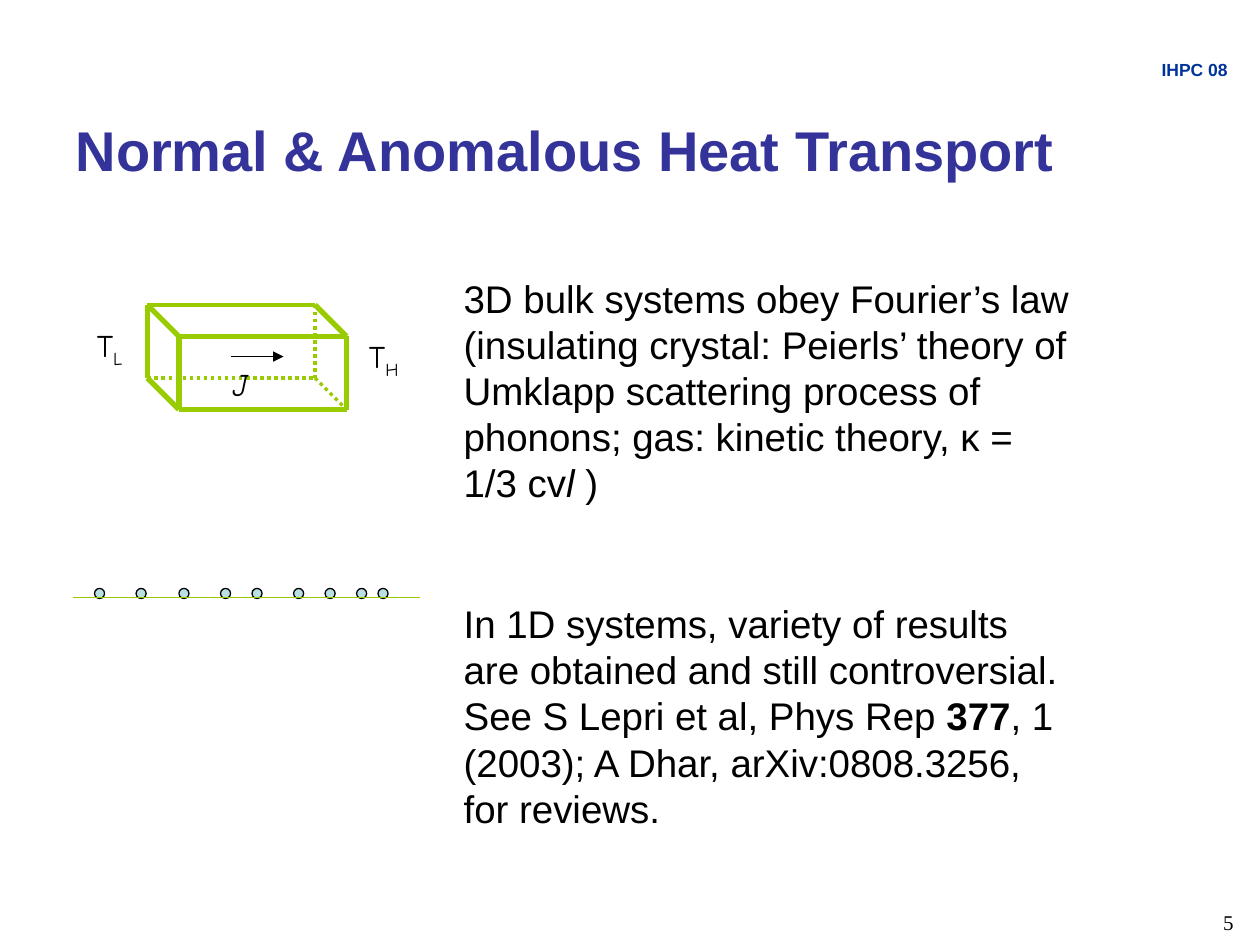
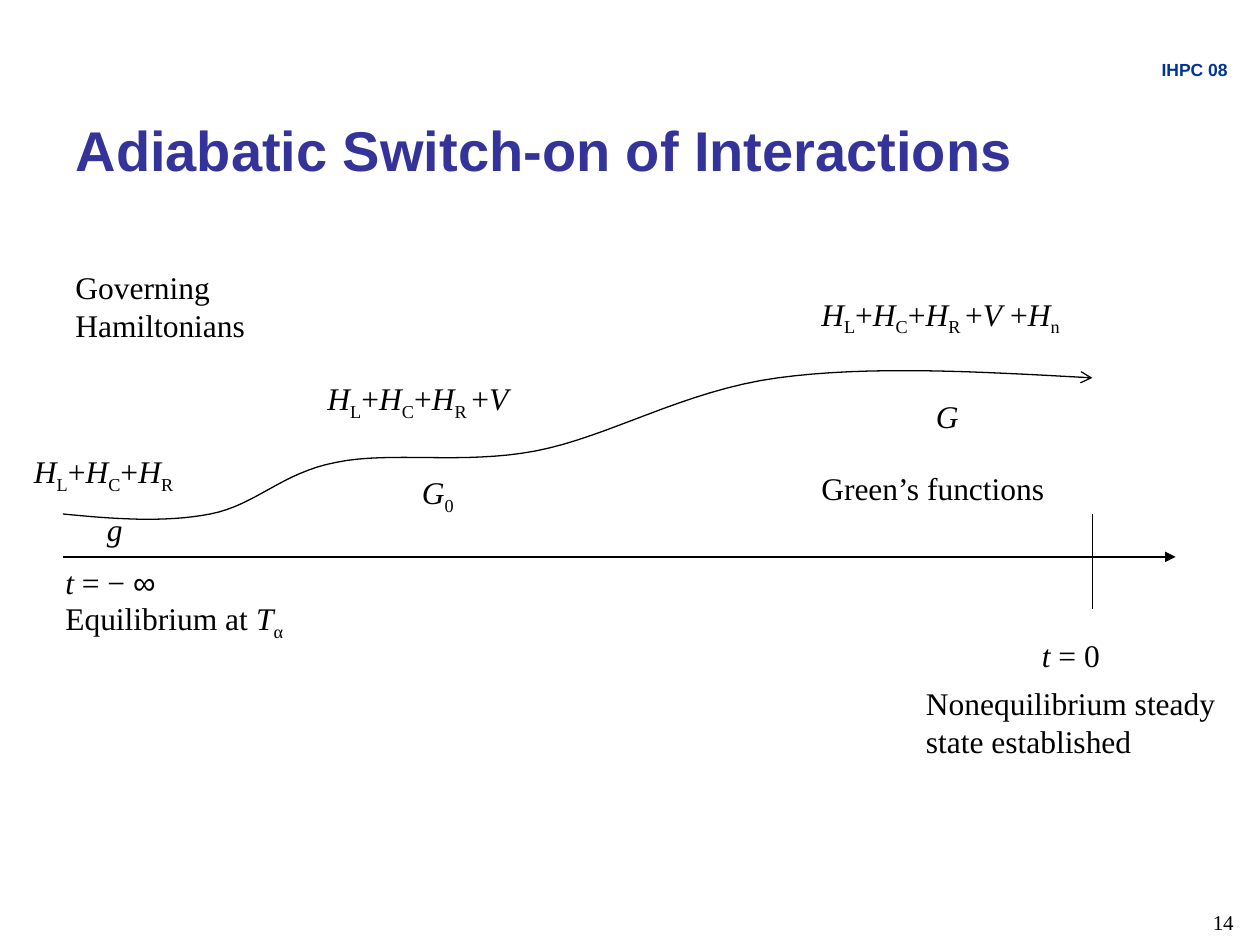
from itertools import product

from lxml.etree import SubElement
from pptx import Presentation
from pptx.dml.color import RGBColor
from pptx.enum.dml import MSO_LINE_DASH_STYLE as Dash
from pptx.enum.shapes import MSO_CONNECTOR as Connector, MSO_SHAPE as Shape
from pptx.enum.text import MSO_ANCHOR as Anchor, MSO_AUTO_SIZE as AutoSize, PP_ALIGN as Align
from pptx.oxml.ns import qn
from pptx.util import Inches, Pt

SANS, SERIF, SKETCH = "Arial", "Times New Roman", "Comic Neue"
BLACK, TITLE_BLUE, BANNER_BLUE = "000000", "333399", "003399"
BOX_GREEN, ATOM_BLUE = "99CC00", "BBE0E3"
TITLE_ONLY, TITLE_AND_BODY = 5, 1
BANNER = "IHPC 08"
LEADING = 1.2


def color(hex_code):
    return RGBColor.from_string(hex_code)


def place(shape, left, top, width, height):
    shape.left, shape.top = Inches(left), Inches(top)
    shape.width, shape.height = Inches(width), Inches(height)


def format_paragraph(paragraph, size, font_name, hex_code, bold=None, align=Align.LEFT):
    paragraph.alignment = align
    paragraph.space_before = Pt(0)
    paragraph.line_spacing = Pt(size * LEADING)
    font = paragraph.font
    font.size, font.name, font.bold = Pt(size), font_name, bold
    font.color.rgb = color(hex_code)


def add_runs(paragraph, pieces):
    for piece in pieces:
        text, style = (piece, None) if isinstance(piece, str) else piece
        run = paragraph.add_run()
        run.text = text
        if style == "italic":
            run.font.italic = True
        elif style == "bold":
            run.font.bold = True
        elif style == "sans":
            run.font.name = SANS
        elif style == "sub":
            run.font._element.set("baseline", "-25000")


def add_label(slide, box, pieces, size=18, font_name=SERIF, hex_code=BLACK,
              bold=None, align=Align.LEFT):
    frame = slide.shapes.add_textbox(*map(Inches, box)).text_frame
    frame.word_wrap = True
    paragraph = frame.paragraphs[0]
    add_runs(paragraph, pieces)
    format_paragraph(paragraph, size, font_name, hex_code, bold, align)


def add_arrowhead(line, kind):
    SubElement(line._get_or_add_ln(), qn("a:tailEnd"), type=kind)


def add_line(slide, start, end, hex_code=BLACK, weight=0.75, dash=None, arrow=None):
    connector = slide.shapes.add_connector(
        Connector.STRAIGHT, *map(Inches, (*start, *end)))
    connector.line.color.rgb = color(hex_code)
    connector.line.width = Pt(weight)
    if dash:
        connector.line.dash_style = dash
    if arrow:
        add_arrowhead(connector.line, arrow)
    SubElement(connector._element.spPr, qn("a:effectLst"))


def add_curve(slide, start, segments, steps=16):
    points = []
    origin = start
    for control_1, control_2, end in segments:
        for step in range(1, steps + 1):
            t = step / steps
            weights = ((1 - t) ** 3, 3 * t * (1 - t) ** 2, 3 * t ** 2 * (1 - t), t ** 3)
            points.append(tuple(
                Inches(sum(w * value for w, value in zip(weights, values)))
                for values in zip(origin, control_1, control_2, end)))
        origin = end
    builder = slide.shapes.build_freeform(*map(Inches, start))
    builder.add_line_segments(points, close=False)
    curve = builder.convert_to_shape()
    curve.shadow.inherit = False
    curve.fill.background()
    curve.line.color.rgb = color(BLACK)
    curve.line.width = Pt(0.75)
    add_arrowhead(curve.line, "arrow")


def add_atom(slide, left, top, diameter=0.08):
    atom = slide.shapes.add_shape(
        Shape.OVAL, *map(Inches, (left, top, diameter, diameter)))
    atom.shadow.inherit = False
    atom.fill.solid()
    atom.fill.fore_color.rgb = color(ATOM_BLUE)
    atom.line.color.rgb = color(BLACK)
    atom.line.width = Pt(0.75)


def add_box_edges(slide, left, top, width, height, depth):
    def corner(right, bottom, front):
        return (left + right * width + front * depth,
                top + bottom * height + front * depth)

    hidden = (1, 1, 0)
    for start in product((0, 1), repeat=3):
        for axis in range(3):
            if start[axis]:
                continue
            end = tuple(1 if i == axis else value for i, value in enumerate(start))
            dotted = hidden in (start, end)
            back_top = start == (0, 0, 0) and end == (1, 0, 0)
            weight = 2 if dotted else 2.25 if back_top else 3
            add_line(slide, corner(*start), corner(*end), BOX_GREEN, weight,
                     Dash.ROUND_DOT if dotted else None)


def start_slide(presentation, layout, title, number):
    slide = presentation.slides.add_slide(presentation.slide_layouts[layout])
    place(slide.shapes.title, 0.5, 0.75, 9, 0.86)
    frame = slide.shapes.title.text_frame
    frame.text = title
    frame.auto_size = AutoSize.NONE
    frame.vertical_anchor = Anchor.MIDDLE
    format_paragraph(frame.paragraphs[0], 32, SANS, TITLE_BLUE, True)
    add_label(slide, (0.17, 0.42, 9.67, 0.27), [BANNER], 10, SANS, BANNER_BLUE,
              True, Align.RIGHT)
    add_label(slide, (7.58, 7.17, 2.31, 0.33), [str(number)], 12, align=Align.RIGHT)
    return slide


def fill_body(body, paragraphs, size, gap):
    frame = body.text_frame
    frame.auto_size = AutoSize.NONE
    for index, pieces in enumerate(paragraphs):
        paragraph = frame.add_paragraph() if index else frame.paragraphs[0]
        properties = paragraph._element.get_or_add_pPr()
        properties.set("marL", "0")
        properties.set("indent", "0")
        SubElement(properties, qn("a:buNone"))
        add_runs(paragraph, pieces)
        format_paragraph(paragraph, size, SANS, BLACK)
        if index:
            paragraph.space_before = Pt(gap)


def build_transport_slide(presentation):
    slide = start_slide(presentation, TITLE_AND_BODY,
                        "Normal & Anomalous Heat Transport", 5)
    body = slide.placeholders[1]
    place(body, 3.58, 2.13, 5.02, 4.5)
    fill_body(body, [
        ["3D bulk systems obey Fourier’s law (insulating crystal: Peierls’ theory of "
         "Umklapp scattering process of phonons; gas: kinetic theory, κ = 1/3 cv",
         ("l ", "italic"), ")"],
        ["In 1D systems, variety of results are obtained and still controversial. "
         "See S Lepri et al, Phys Rep ", ("377", "bold"),
         ", 1 (2003); A Dhar, arXiv:0808.3256, for reviews."],
    ], 22, 54)

    add_box_edges(slide, 1.17, 2.42, 1.33, 0.58, 0.25)
    for left, top, side in ((0.67, 2.58, "L"), (2.83, 2.67, "H")):
        add_label(slide, (left, top, 0.5, 0.44), ["T", (side, "sub")],
                  font_name=SKETCH)
    add_label(slide, (1.75, 2.85, 0.5, 0.4), [("J", "italic")], font_name=SKETCH)
    add_line(slide, (1.83, 2.83), (2.25, 2.83), arrow="triangle")

    for left in (0.75, 1.08, 1.42, 1.75, 2, 2.33, 2.58, 2.83, 3):
        add_atom(slide, left, 4.67)
    add_line(slide, (0.58, 4.74), (3.33, 4.74), BOX_GREEN)


def hamiltonian(right="R"):
    return [("H", "italic"), ("L", "sub"), "+", ("H", "italic"), ("C", "sub"),
            "+", ("H", "italic"), (right, "sub")]


def build_switch_on_slide(presentation):
    slide = start_slide(presentation, TITLE_ONLY,
                        "Adiabatic Switch-on of Interactions", 14)
    add_line(slide, (0.5, 4.42), (9.33, 4.42), arrow="triangle")
    add_line(slide, (8.67, 4.08), (8.67, 4.83))
    add_curve(slide, (0.5, 4.08), [
        ((0.9, 4.12), (1.31, 4.15), (1.67, 4.08)),
        ((2.03, 4.01), (2.24, 3.75), (2.67, 3.67)),
        ((3.1, 3.58), (3.67, 3.69), (4.25, 3.58)),
        ((4.83, 3.47), (5.43, 3.1), (6.17, 3)),
        ((6.9, 2.9), (7.78, 2.95), (8.67, 3)),
    ])
    coupled = hamiltonian("R ") + ["+", ("V", "italic")]
    labels = [
        ((8.17, 5, 0.92, 0.4), [("t", "italic"), " = 0"]),
        ((0.42, 4.42, 1.33, 0.4), [("t ", "italic"), "= − ", ("∞", "sans")]),
        ((0.17, 3.58, 1.58, 0.44), hamiltonian()),
        ((2.5, 3, 1.83, 0.44), coupled),
        ((6.42, 2.33, 2.33, 0.44), coupled + [" +", ("H", "italic"), ("n", "sub")]),
        ((0.75, 4, 0.42, 0.4), [("g", "italic")]),
        ((3.25, 3.75, 0.58, 0.44), [("G", "italic"), ("0", "sub")]),
        ((7.33, 3.1, 0.5, 0.4), [("G", "italic")]),
        ((0.5, 2.08, 1.58, 0.7), ["Governing Hamiltonians"]),
        ((6.42, 3.67, 2.42, 0.4), ["Green’s functions"]),
        ((0.42, 4.75, 2.08, 0.44), ["Equilibrium at ", ("T", "italic"), ("α", "sub")]),
        ((7.25, 5.38, 2.58, 0.7), ["Nonequilibrium steady state established"]),
    ]
    for box, pieces in labels:
        add_label(slide, box, pieces)


def main():
    presentation = Presentation()
    presentation.slide_width, presentation.slide_height = Inches(10), Inches(7.5)
    build_transport_slide(presentation)
    build_switch_on_slide(presentation)
    presentation.save("out.pptx")


if __name__ == "__main__":
    main()
